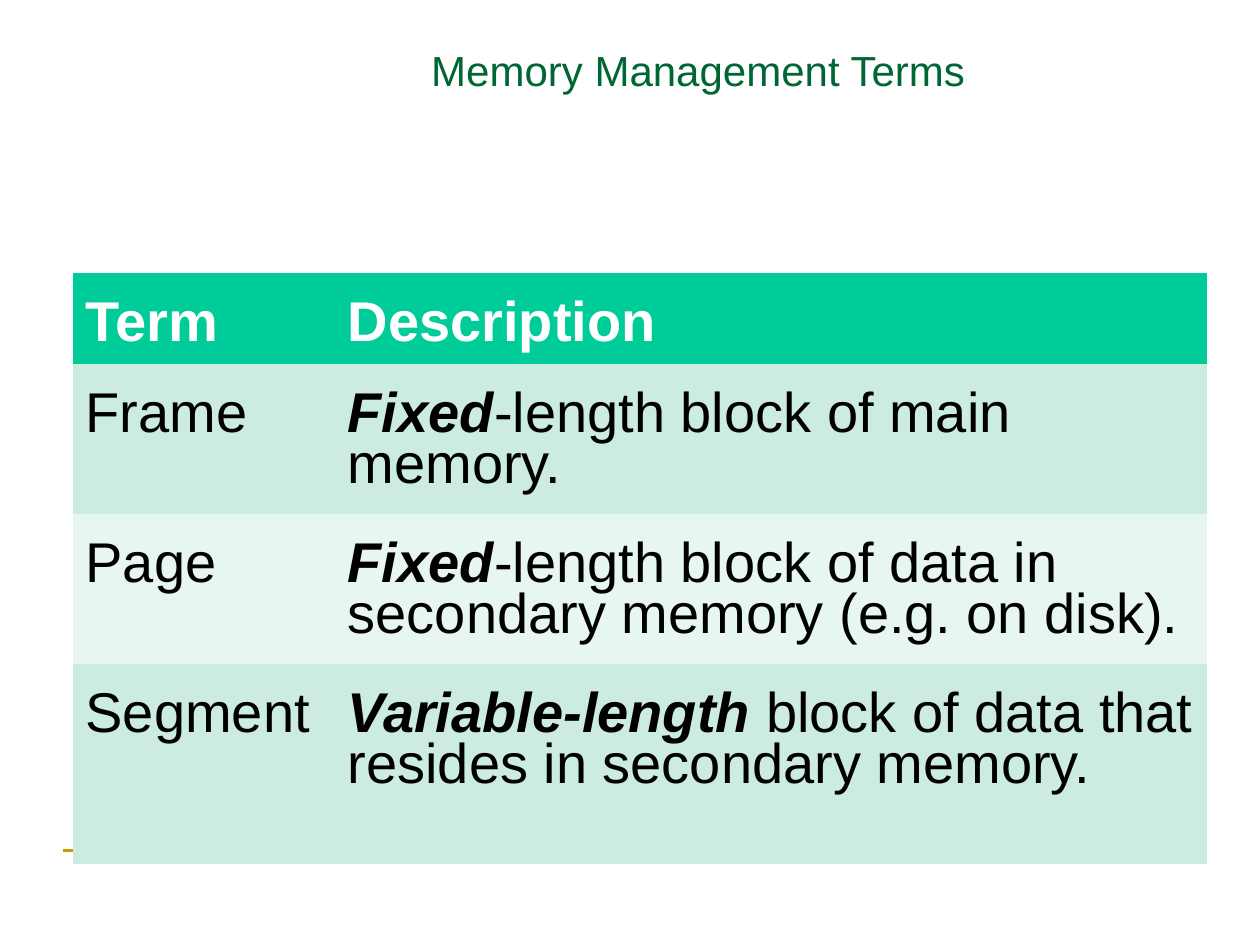
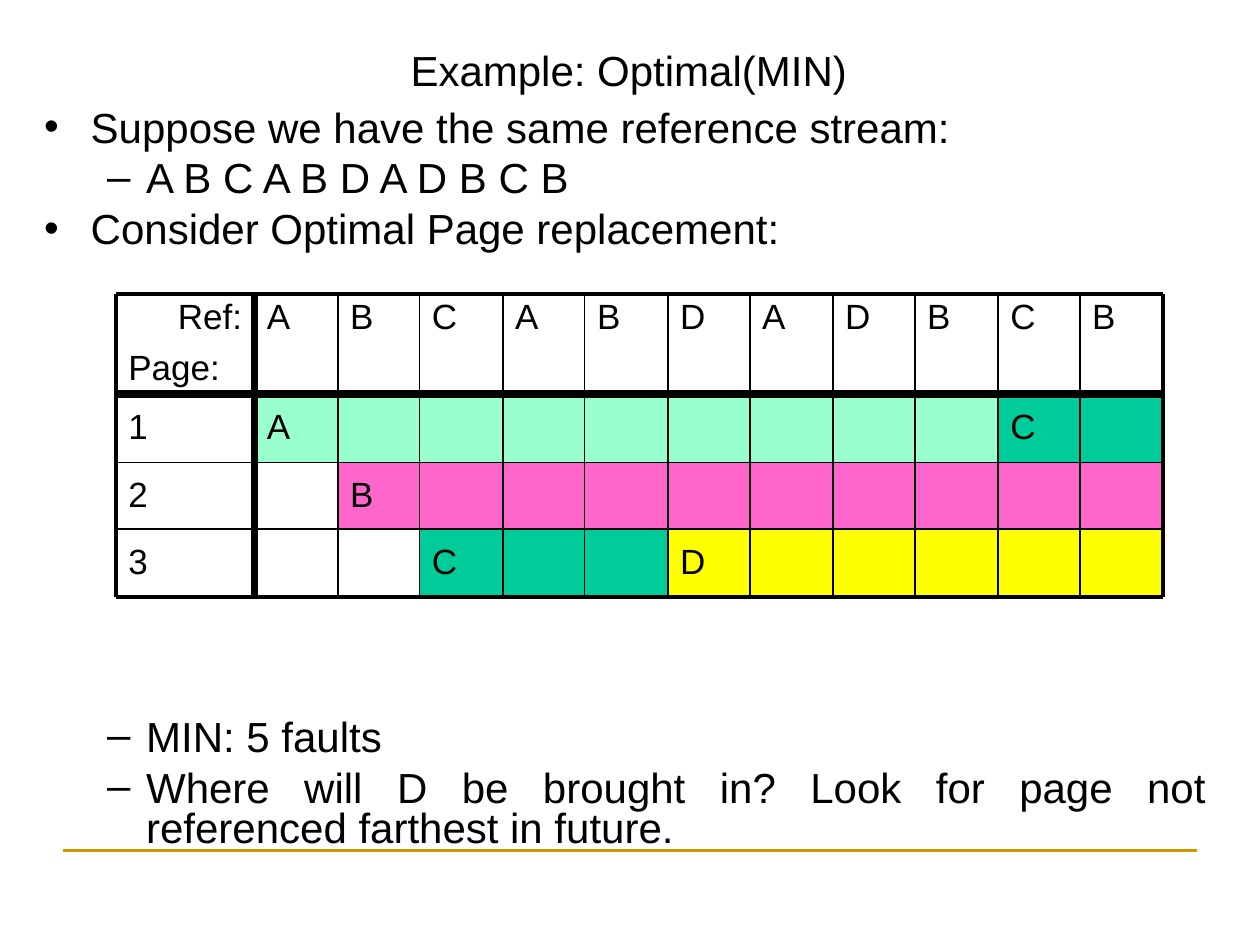
"""Build two slides on memory management: a table of terms and an optimal replacement example."""
import pptx
import pptx.dml.color
import pptx.enum.shapes
import pptx.enum.text
import pptx.oxml.ns
import pptx.util
import lxml.etree

PX = 9144
FONT = "Arial"
BLACK = pptx.dml.color.RGBColor(0x00, 0x00, 0x00)
WHITE = pptx.dml.color.RGBColor(0xFF, 0xFF, 0xFF)
DARK_GREEN = pptx.dml.color.RGBColor(0x00, 0x66, 0x33)
GREEN = pptx.dml.color.RGBColor(0x00, 0xCC, 0x99)
MINT = pptx.dml.color.RGBColor(0x99, 0xFF, 0xCC)
PINK = pptx.dml.color.RGBColor(0xFF, 0x66, 0xCC)
YELLOW = pptx.dml.color.RGBColor(0xFF, 0xFF, 0x00)
GOLD = pptx.dml.color.RGBColor(0xCC, 0x99, 0x00)
BAND_DARK = pptx.dml.color.RGBColor(0xCB, 0xEC, 0xDE)
BAND_LIGHT = pptx.dml.color.RGBColor(0xE7, 0xF6, 0xEF)
NO_TABLE_STYLE = "{2D5ABB26-0587-4C30-8999-92F81FD0307C}"
ALIGN = pptx.enum.text.PP_ALIGN
ANCHOR = pptx.enum.text.MSO_ANCHOR


def add_run(paragraph, text, size, color=BLACK, bold=False, italic=False):
    run = paragraph.add_run()
    run.text = text
    run.font.name = FONT
    run.font.size = pptx.util.Pt(size)
    run.font.color.rgb = color
    run.font.bold = bold
    run.font.italic = italic


def add_line(slide, start, end, color, width):
    line = slide.shapes.add_connector(
        pptx.enum.shapes.MSO_CONNECTOR.STRAIGHT, *(value * PX for value in start + end))
    line.line.color.rgb = color
    line.line.width = pptx.util.Pt(width)
    properties = line.element.find(pptx.oxml.ns.qn("p:spPr"))
    lxml.etree.SubElement(properties, pptx.oxml.ns.qn("a:effectLst"))
    return line


presentation = pptx.Presentation()
presentation.slide_width = 1000 * PX
presentation.slide_height = 750 * PX
terms_slide = presentation.slides.add_slide(presentation.slide_layouts[5])
example_slide = presentation.slides.add_slide(presentation.slide_layouts[1])

footer_rule = add_line(terms_slide, (50, 675), (950, 675), GOLD, 1.5)
master_tree = presentation.slide_master.placeholders[0].element.getparent()
master_tree.append(footer_rule.element)

for slide, text, color, left, width, height in (
        (terms_slide, "Memory Management Terms", DARK_GREEN, 158, 792, 62),
        (example_slide, "Example: Optimal(MIN)", BLACK, 50, 898, 50)):
    title = slide.shapes.title
    title.left, title.top, title.width, title.height = left * PX, 30 * PX, width * PX, height * PX
    title.text_frame.auto_size = pptx.enum.text.MSO_AUTO_SIZE.NONE
    title.text_frame.vertical_anchor = ANCHOR.TOP
    paragraph = title.text_frame.paragraphs[0]
    paragraph.alignment = ALIGN.CENTER
    add_run(paragraph, text, 24, color)

terms = (
    ("Term", "Description", ""),
    ("Frame", "Fixed", "-length block of main memory."),
    ("Page", "Fixed", "-length block of data in secondary memory (e.g. on disk)."),
    ("Segment", "Variable-length", " block of data that resides in secondary memory."),
)
row_heights = (72, 119, 119, 159)
table_frame = terms_slide.shapes.add_table(
    len(terms), 2, 58 * PX, 217 * PX, 900 * PX, sum(row_heights) * PX)
table_frame.element.find(".//" + pptx.oxml.ns.qn("a:tableStyleId")).text = NO_TABLE_STYLE
table = table_frame.table
for column, width in zip(table.columns, (208, 692)):
    column.width = width * PX
for index, (term, emphasis, description) in enumerate(terms):
    table.rows[index].height = row_heights[index] * PX
    is_header = index == 0
    text_color = WHITE if is_header else BLACK
    for cell in table.rows[index].cells:
        cell.margin_top = 22 * PX
        cell.fill.solid()
        cell.fill.fore_color.rgb = GREEN if is_header else (BAND_LIGHT, BAND_DARK)[index % 2]
        cell.text_frame.paragraphs[0].line_spacing = 0.81
    term_paragraph, description_paragraph = (
        cell.text_frame.paragraphs[0] for cell in table.rows[index].cells)
    add_run(term_paragraph, term, 32, text_color, bold=is_header)
    add_run(description_paragraph, emphasis, 32, text_color, bold=True, italic=not is_header)
    if description:
        add_run(description_paragraph, description, 32)

body = example_slide.placeholders[1]
body.left, body.top, body.width, body.height = 25 * PX, 83 * PX, 942 * PX, 650 * PX
body.text_frame.auto_size = pptx.enum.text.MSO_AUTO_SIZE.NONE
for index, (level, space, text) in enumerate((
        (0, 0, "Suppose we have the same reference stream:"),
        (1, 6, "A B C A B D A D B C B"),
        (0, 6, "Consider Optimal Page replacement:"),
        (1, 267, "MIN: 5 faults"),
        (1, 6, "Where will D be brought in? Look for page not referenced farthest in future."))):
    paragraph = body.text_frame.add_paragraph() if index else body.text_frame.paragraphs[0]
    paragraph.level = level
    paragraph.alignment = ALIGN.JUSTIFY
    paragraph.line_spacing = 0.8
    paragraph.space_before = pptx.util.Pt(space)
    add_run(paragraph, text, 24)
    margin, indent = ((37, -37), (81, -31))[level]
    properties = paragraph.runs[0].font._element.getparent().getparent().find(
        pptx.oxml.ns.qn("a:pPr"))
    properties.set("marL", str(margin * PX))
    properties.set("indent", str(indent * PX))

references = "ABCABDADBCB"
frames = ("AAAAAAAAACC", " BBBBBBBBBB", "  CCCDDDDDD")
page_colors = {"A": MINT, "B": PINK, "C": GREEN, "D": YELLOW}
column_edges = [92] + [202 + round(index * 721 / 11) for index in range(12)]
row_edges = [233] + [313 + round(index * 161 / 3) for index in range(4)]

grid_cells = [(0, 0, ("Ref:", "Page:"), None)]
grid_cells += [(0, column, (page,), None) for column, page in enumerate(references, 1)]
for row, frame in enumerate(frames, 1):
    grid_cells.append((row, 0, (str(row),), None))
    for column, page in enumerate(frame, 1):
        if page != " ":
            is_loaded = column == 1 or frame[column - 2] != page
            grid_cells.append((row, column, (page,) if is_loaded else (), page_colors[page]))

for row, column, lines, fill in grid_cells:
    left, right = column_edges[column:column + 2]
    top, bottom = row_edges[row:row + 2]
    bounds = [value * PX for value in (left, top, right - left, bottom - top)]
    if fill:
        shape = example_slide.shapes.add_shape(
            pptx.enum.shapes.MSO_SHAPE.RECTANGLE, *bounds)
        shape.shadow.inherit = False
        shape.fill.solid()
        shape.fill.fore_color.rgb = fill
        shape.line.fill.background()
    else:
        shape = example_slide.shapes.add_textbox(*bounds)
    shape.text_frame.word_wrap = True
    shape.text_frame.vertical_anchor = ANCHOR.MIDDLE if row else ANCHOR.TOP
    for index, text in enumerate(lines):
        paragraph = shape.text_frame.add_paragraph() if index else shape.text_frame.paragraphs[0]
        paragraph.alignment = ALIGN.RIGHT if text == "Ref:" else ALIGN.LEFT
        paragraph.line_spacing = 0.9
        paragraph.space_before = pptx.util.Pt(7 * index)
        add_run(paragraph, text, 20)

for index, top in enumerate(row_edges):
    width = {0: 2.25, 1: 4.5, len(row_edges) - 1: 2.25}.get(index, 1)
    add_line(example_slide, (column_edges[0], top), (column_edges[-1], top), BLACK, width)
for index, left in enumerate(column_edges):
    width = {0: 2.25, 1: 4.5, len(column_edges) - 1: 2.25}.get(index, 1)
    add_line(example_slide, (left, row_edges[0]), (left, row_edges[-1]), BLACK, width)

presentation.save("out.pptx")
